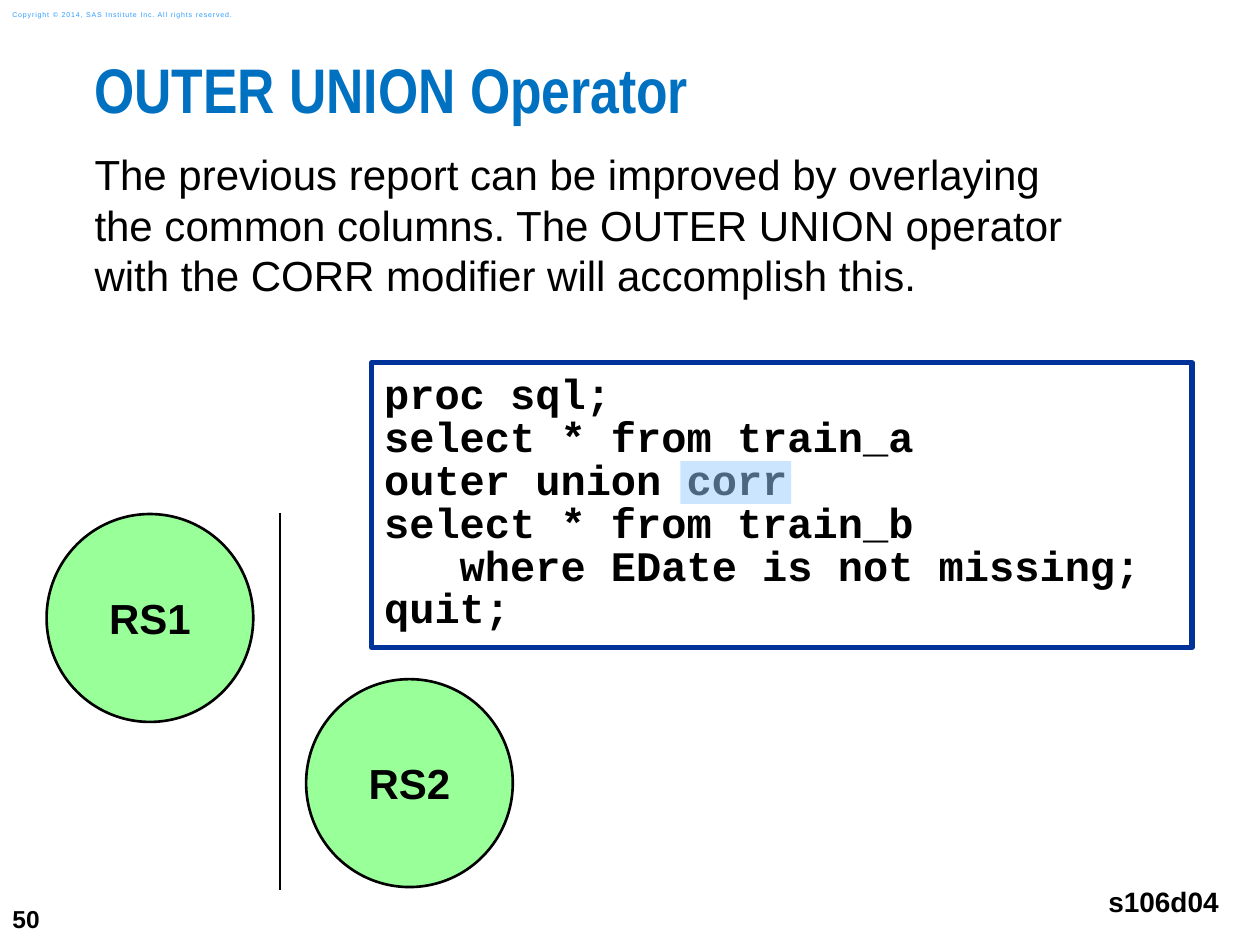
from dataclasses import dataclass

from lxml.etree import SubElement
from pptx import Presentation
from pptx.dml.color import RGBColor as RGB
from pptx.enum.shapes import MSO_CONNECTOR as Link, MSO_SHAPE as Form
from pptx.enum.text import MSO_ANCHOR as Anchor, PP_ALIGN as Align
from pptx.oxml.ns import qn
from pptx.util import Inches, Pt


@dataclass(frozen=True)
class Theme:
    black: RGB = RGB(0, 0, 0)
    white: RGB = RGB(255, 255, 255)
    title: RGB = RGB(0x00, 0x70, 0xC0)
    notice: RGB = RGB(0x2A, 0x9C, 0xFF)
    frame: RGB = RGB(0x00, 0x33, 0x99)
    mark: RGB = RGB(0x99, 0xCC, 0xFF)
    disc: RGB = RGB(0x99, 0xFF, 0x99)
    sans: str = "Arial"
    narrow: str = "Arial Narrow"
    mono: str = "Courier New"
    head: int = 36
    main: int = 24
    file: int = 16
    page: int = 14
    tiny: int = 4


THEME = Theme()

BODY = """The previous report can be improved by overlaying
the common columns. The OUTER UNION operator
with the CORR modifier will accomplish this."""

CODE = """proc sql;
select * from train_a
outer union corr
select * from train_b
   where EDate is not missing;
quit;"""


def write(shape, paras, size, color=THEME.black, face=THEME.sans, bold=True,
          align=Align.LEFT, anchor=Anchor.TOP, insets=(0.1, 0.1, 0.1, 0.1),
          wrap=True, pitch=None):
    """Fill a shape with paragraphs in one style; insets run left, top, right, bottom."""
    frame = shape.text_frame
    frame.word_wrap = wrap
    frame.vertical_anchor = anchor
    (frame.margin_left, frame.margin_top,
     frame.margin_right, frame.margin_bottom) = map(Inches, insets)
    for i, text in enumerate(paras):
        para = frame.add_paragraph() if i else frame.paragraphs[0]
        para.text = text
        para.alignment = align
        if pitch:
            para.line_spacing = pitch
        font = para.font
        font.name, font.size, font.bold = face, Pt(size), bold
        font.color.rgb = color
    return frame


def add_text(slide, box, text, size, **style):
    return write(slide.shapes.add_textbox(*map(Inches, box)), [text], size, **style)


def add_form(slide, form, box, fill, line=None, width=0):
    shape = slide.shapes.add_shape(form, *map(Inches, box))
    shape.shadow.inherit = False
    shape.fill.solid()
    shape.fill.fore_color.rgb = fill
    if line is None:
        shape.line.fill.background()
    else:
        shape.line.color.rgb = line
        shape.line.width = Pt(width)
    return shape


def add_code(slide, box, code):
    shape = add_form(slide, Form.RECTANGLE, box, THEME.white, THEME.frame, 3)
    write(shape, code.split("\n"), THEME.main, face=THEME.mono,
          insets=(0.1, 0.1, 0.29, 0.1), pitch=0.85)


def add_mark(slide, box):
    """Lay a half-transparent highlight over a word."""
    shape = add_form(slide, Form.RECTANGLE, box, THEME.mark)
    color = shape.fill._xPr.find(qn("a:solidFill"))[0]
    SubElement(color, qn("a:alpha"), val="50000")


def add_disc(slide, left, top, label):
    shape = add_form(slide, Form.OVAL, (left, top, 1.64, 1.65),
                     THEME.disc, THEME.black, 1.5)
    write(shape, [label], THEME.main, align=Align.CENTER,
          anchor=Anchor.MIDDLE, wrap=False)


def add_rule(slide, x, top, foot):
    rule = slide.shapes.add_connector(Link.STRAIGHT, *map(Inches, (x, top, x, foot)))
    rule.line.color.rgb = THEME.black
    rule.line.width = Pt(1)
    SubElement(rule._element.spPr, qn("a:effectLst"))


def main():
    deck = Presentation()
    deck.slide_width, deck.slide_height = Inches(10), Inches(7.5)
    slide = deck.slides.add_slide(deck.slide_layouts[6])
    slim = (0.1, 0.05, 0.1, 0.05)
    flush = (0, 0, 0, 0)

    add_text(slide, (0, 7.08, 0.58, 0.42), "50", THEME.page,
             anchor=Anchor.MIDDLE, insets=slim, wrap=False)
    notice = add_text(slide, (0, 0.03, 2.11, 0.17),
                      "Copyright © 2014, SAS Institute Inc. All rights reserved.",
                      THEME.tiny, color=THEME.notice, bold=False,
                      anchor=Anchor.MIDDLE, insets=slim)
    notice.paragraphs[0].runs[0].font._element.set("spc", "50")

    add_text(slide, (0.75, 0.5, 9.25, 0.74), "OUTER UNION Operator", THEME.head,
             color=THEME.title, face=THEME.narrow, insets=flush, pitch=0.83)
    add_text(slide, (0.75, 1.18, 8.58, 4.66), BODY, THEME.main,
             bold=False, insets=flush)

    add_code(slide, (2.95, 2.88, 6.51, 2.26), CODE)
    add_text(slide, (8.69, 6.92, 1.08, 0.47), "s106d04", THEME.file,
             align=Align.RIGHT, wrap=False)
    add_mark(slide, (5.4, 3.66, 0.88, 0.34))

    add_disc(slide, 0.37, 4.08, "RS1")
    add_disc(slide, 2.43, 5.39, "RS2")
    add_rule(slide, 2.22, 4.07, 7.06)
    deck.save("out.pptx")


if __name__ == "__main__":
    main()
